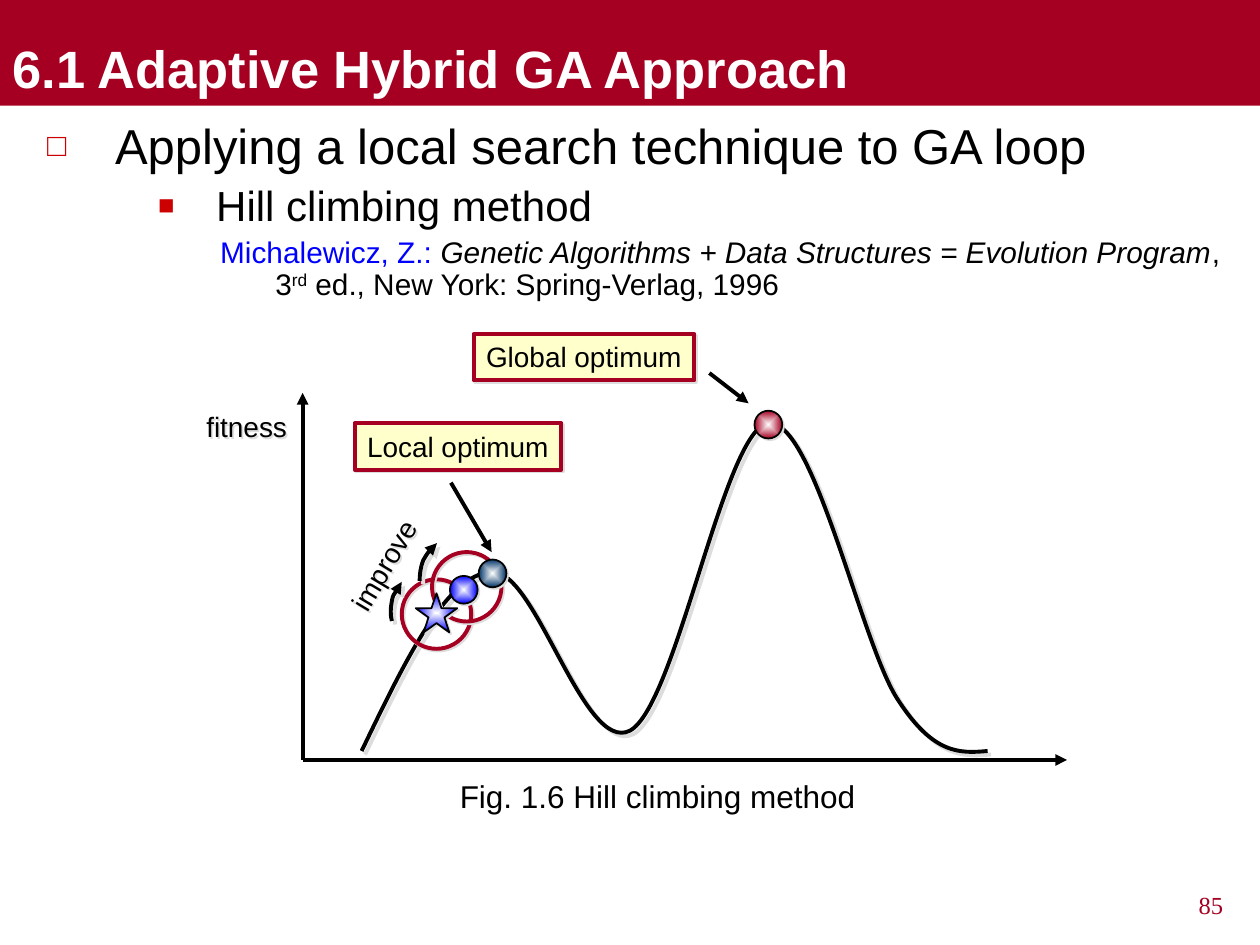
from dataclasses import dataclass

import lxml.etree
import pptx
import pptx.dml.color
import pptx.enum.dml
import pptx.enum.shapes
import pptx.enum.text
import pptx.oxml.ns
import pptx.util

Cm = pptx.util.Cm
Pt = pptx.util.Pt
Shape = pptx.enum.shapes.MSO_SHAPE
Align = pptx.enum.text.PP_ALIGN
Anchor = pptx.enum.text.MSO_ANCHOR
Point = tuple[float, float]

RED, BLACK, WHITE, BLUE = "A50021", "000000", "FFFFFF", "0000FF"
BULLET_RED, CREAM, NAVY, SHADOW = "CC0000", "FFFFCC", "003366", "DDDDDD"


@dataclass
class Area:
    left: float
    top: float
    width: float
    height: float

    def lengths(self) -> list:
        return [Cm(v) for v in (self.left, self.top, self.width, self.height)]


@dataclass
class Label:
    text: str
    area: Area
    size: int = 16
    rotation: float = 0
    shadow: bool = False


@dataclass
class Marker:
    kind: int
    area: Area
    color: str


@dataclass
class Curve:
    start: Point
    segments: list[tuple[Point, Point, Point]]
    arrow: bool = True


@dataclass
class Arrow:
    start: Point
    end: Point


def rgb(value: str):
    return pptx.dml.color.RGBColor.from_string(value)


def add_child(parent, tag: str, **attributes):
    return lxml.etree.SubElement(parent, pptx.oxml.ns.qn(tag), attributes)


def set_line(shape, color: str, width: float, arrow: bool = False) -> None:
    shape.line.color.rgb = rgb(color)
    shape.line.width = Pt(width)
    if arrow:
        add_child(shape.line._get_or_add_ln(), "a:tailEnd", type="triangle")


def set_shadow(shape, distance: float) -> None:
    shape.shadow.inherit = False
    effects = shape._element.spPr.find(pptx.oxml.ns.qn("a:effectLst"))
    outer = add_child(effects, "a:outerShdw", dist=str(Pt(distance)), dir="2700000", algn="ctr", rotWithShape="0")
    add_child(outer, "a:srgbClr", val=SHADOW)


def set_glow_fill(shape, color: str) -> None:
    shape.fill.gradient()
    for stop, value in zip(shape.fill.gradient_stops, (WHITE, color)):
        stop.color.rgb = rgb(value)
    gradient = shape._element.spPr.find(pptx.oxml.ns.qn("a:gradFill"))
    gradient.remove(gradient.find(pptx.oxml.ns.qn("a:lin")))
    center = add_child(gradient, "a:path", path="rect")
    add_child(center, "a:fillToRect", l="50000", t="50000", r="50000", b="50000")


def write(para, text: str, *, size: int = 16, color: str = BLACK, font: str = "Arial",
          bold: bool = False, italic: bool = False, raised: bool = False) -> None:
    span = para.add_run()
    span.text = text
    span.font.name = font
    span.font.size = Pt(size)
    span.font.color.rgb = rgb(color)
    span.font.bold = bold
    span.font.italic = italic
    if raised:
        span._r.get_or_add_rPr().set("baseline", "30000")


def format_level(para, level: int, margin: float, indent: float, before: float, bullet: str = "") -> None:
    para.level = level
    para.line_spacing = 0.9
    para.space_before = Pt(before)
    properties = para._p.get_or_add_pPr()
    properties.set("marL", str(Cm(margin)))
    properties.set("indent", str(Cm(indent)))
    if bullet:
        add_child(add_child(properties, "a:buClr"), "a:srgbClr", val=BULLET_RED)
        add_child(properties, "a:buSzPct", val="65000")
        add_child(properties, "a:buFont", typeface="Arial")
        add_child(properties, "a:buChar", char=bullet)
    else:
        add_child(properties, "a:buNone")


def draw_title(page) -> None:
    box = page.shapes.add_shape(Shape.RECTANGLE, *Area(0, 0, 25.4, 2.13).lengths())
    box.shadow.inherit = False
    box.fill.solid()
    box.fill.fore_color.rgb = rgb(RED)
    box.line.fill.background()
    box.text_frame.vertical_anchor = Anchor.BOTTOM
    para = box.text_frame.paragraphs[0]
    para.alignment = Align.LEFT
    write(para, "6.1 Adaptive Hybrid GA Approach", size=30, color=WHITE, bold=True)


def draw_outline(page) -> None:
    frame = page.shapes.add_textbox(*Area(0.7, 2.33, 24.21, 15.39).lengths()).text_frame
    frame.word_wrap = True
    topic = frame.paragraphs[0]
    format_level(topic, 0, 1.37, -1.37, 0, "□")
    write(topic, "Applying a local search technique to GA loop", size=28)
    method = frame.add_paragraph()
    format_level(method, 1, 3.41, -1.17, 6, "■")
    write(method, "Hill climbing method", size=24)
    citation = frame.add_paragraph()
    format_level(citation, 2, 4.6, -1.11, 4.2)
    write(citation, "Michalewicz, Z.: ", size=17, color=BLUE)
    write(citation, "Genetic Algorithms + Data Structures = Evolution Program", size=17, italic=True)
    write(citation, ", 3", size=17)
    write(citation, "rd", size=17, raised=True)
    write(citation, " ed., New York: Spring-Verlag, 1996", size=17)


def draw_label(page, label: Label) -> None:
    box = page.shapes.add_textbox(*label.area.lengths())
    box.rotation = label.rotation
    box.text_frame.word_wrap = False
    box.text_frame.auto_size = pptx.enum.text.MSO_AUTO_SIZE.SHAPE_TO_FIT_TEXT
    if label.shadow:
        set_shadow(box, 1.4)
    write(box.text_frame.paragraphs[0], label.text, size=label.size)


def draw_callout(page, label: Label) -> None:
    box = page.shapes.add_textbox(*label.area.lengths())
    box.fill.solid()
    box.fill.fore_color.rgb = rgb(CREAM)
    set_line(box, RED, 2.25)
    set_shadow(box, 1.4)
    box.text_frame.word_wrap = False
    box.text_frame.auto_size = pptx.enum.text.MSO_AUTO_SIZE.SHAPE_TO_FIT_TEXT
    write(box.text_frame.paragraphs[0], label.text, size=label.size)


def draw_arrow(page, arrow: Arrow) -> None:
    ends = [Cm(v) for v in arrow.start + arrow.end]
    line = page.shapes.add_connector(pptx.enum.shapes.MSO_CONNECTOR.STRAIGHT, *ends)
    set_line(line, BLACK, 2.25, arrow=True)
    add_child(line._element.spPr, "a:effectLst")


def bend_outline(shape) -> None:
    steps = list(shape._element.iter(pptx.oxml.ns.qn("a:lnTo")))
    for first in range(0, len(steps), 3):
        bend = add_child(steps[first].getparent(), "a:cubicBezTo")
        for step in steps[first:first + 3]:
            bend.append(step[0])
            step.getparent().remove(step)


def draw_curve(page, curve: Curve) -> None:
    builder = page.shapes.build_freeform(*[Cm(v) for v in curve.start])
    points = [(Cm(x), Cm(y)) for segment in curve.segments for x, y in segment]
    builder.add_line_segments(points, close=False)
    shape = builder.convert_to_shape()
    bend_outline(shape)
    shape.fill.background()
    set_line(shape, BLACK, 2.25, curve.arrow)
    set_shadow(shape, 2.8)


def draw_ring(page, left: float, top: float) -> None:
    ring = page.shapes.add_shape(Shape.OVAL, *Area(left, top, 1.4, 1.4).lengths())
    ring.fill.background()
    set_line(ring, RED, 2.25)
    set_shadow(ring, 1.4)


def draw_marker(page, marker: Marker) -> None:
    shape = page.shapes.add_shape(marker.kind, *marker.area.lengths())
    set_glow_fill(shape, marker.color)
    set_line(shape, BLACK, 1)
    set_shadow(shape, 1.4)


def draw_figure(page) -> None:
    origin = (6.1, 15.32)
    for end in ((6.1, 7.92), (21.51, 15.32)):
        draw_arrow(page, Arrow(origin, end))
    draw_curve(page, Curve((7.29, 15.14), [
        ((8.15, 13.36), (8.99, 11.58), (9.91, 11.53)),
        ((10.8, 11.46), (11.76, 15.21), (12.7, 14.73)),
        ((13.64, 14.22), (14.6, 8.64), (15.49, 8.53)),
        ((16.41, 8.43), (17.37, 13.03), (18.11, 14.12)),
        ((18.82, 15.21), (19.35, 15.19), (19.91, 15.14))], arrow=False))
    for left, top in ((8.1, 11.68), (8.71, 11.13)):
        draw_ring(page, left, top)
    draw_curve(page, Curve((7.9, 12.52), [
        ((7.87, 12.4), (7.87, 12.27), (7.9, 12.12)), ((7.92, 11.99), (8.03, 11.86), (8.1, 11.73))]))
    draw_curve(page, Curve((8.46, 11.71), [
        ((8.46, 11.58), (8.48, 11.43), (8.53, 11.3)), ((8.59, 11.2), (8.66, 11.07), (8.81, 10.95))]))
    for callout in (Label("Local optimum", Area(7.15, 8.53, 4.17, 0.94)),
                    Label("Global optimum", Area(9.55, 6.73, 4.45, 0.94))):
        draw_callout(page, callout)
    for arrow in (Arrow((9.09, 9.73), (9.91, 11.13)), Arrow((14.3, 7.52), (15.09, 8.13))):
        draw_arrow(page, arrow)
    for label in (Label("improve", Area(6.48, 10.92, 2.51, 0.94), rotation=300.9, shadow=True),
                  Label("fitness", Area(3.91, 8.13, 2.13, 0.94), shadow=True),
                  Label("Fig. 1.6 Hill climbing method", Area(9.02, 15.53, 8.48, 1.02), 18)):
        draw_label(page, label)
    for marker in (Marker(Shape.OVAL, Area(15.21, 8.28, 0.56, 0.56), RED),
                   Marker(Shape.OVAL, Area(9.65, 11.28, 0.56, 0.56), NAVY),
                   Marker(Shape.OVAL, Area(9.07, 11.61, 0.56, 0.56), BLUE),
                   Marker(Shape.STAR_5_POINT, Area(8.38, 11.96, 0.84, 0.79), BLUE)):
        draw_marker(page, marker)


def draw_page_number(page) -> None:
    box = page.shapes.add_textbox(*Area(19.4, 17.81, 5.51, 0.99).lengths())
    box.text_frame.word_wrap = True
    para = box.text_frame.paragraphs[0]
    para.alignment = Align.RIGHT
    write(para, "85", size=14, color=RED, font="Times New Roman")


def main() -> None:
    deck = pptx.Presentation()
    deck.slide_width, deck.slide_height = Cm(25.4), Cm(19.05)
    page = deck.slides.add_slide(deck.slide_layouts[6])
    draw_title(page)
    draw_outline(page)
    draw_figure(page)
    draw_page_number(page)
    deck.save("out.pptx")


if __name__ == "__main__":
    main()
